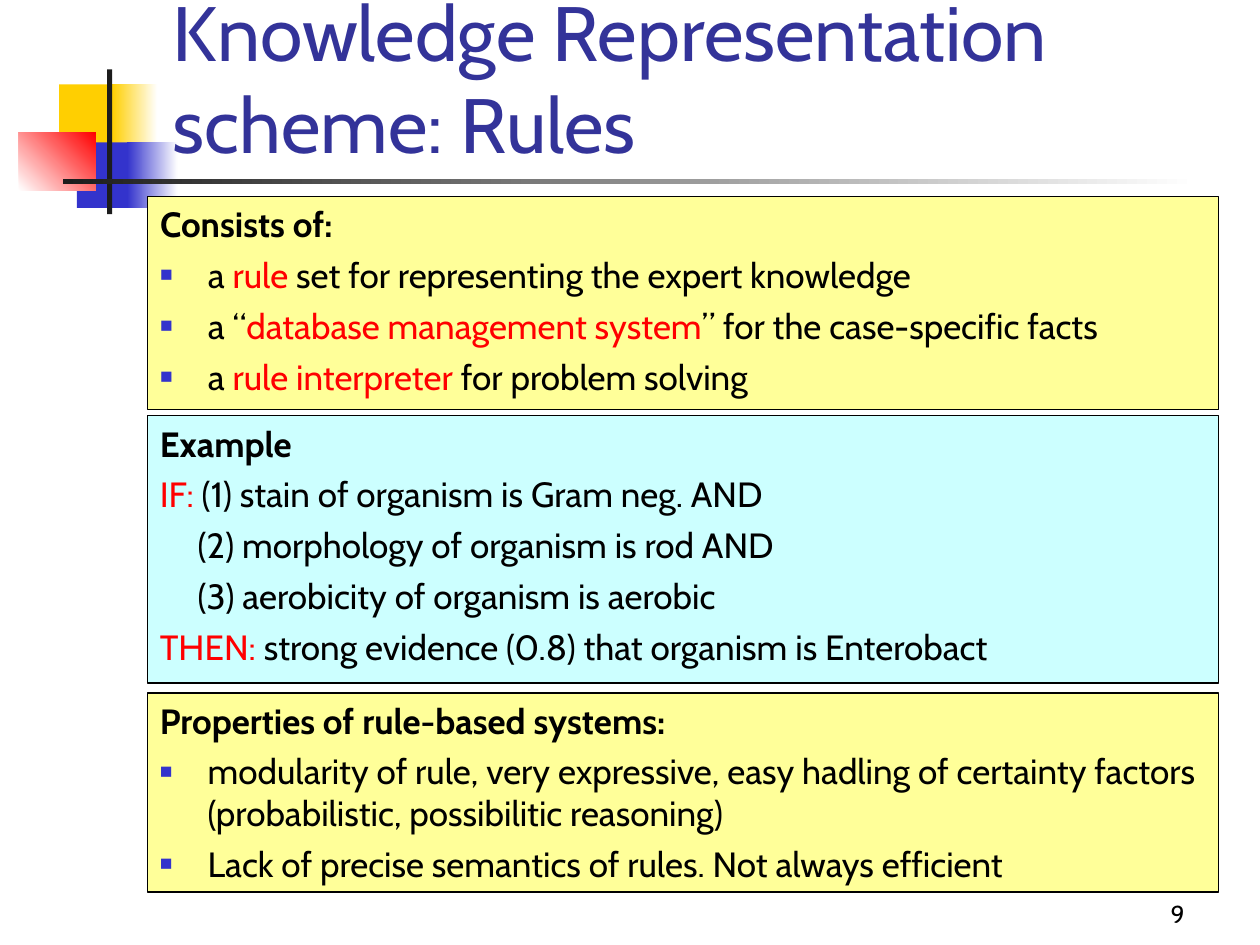
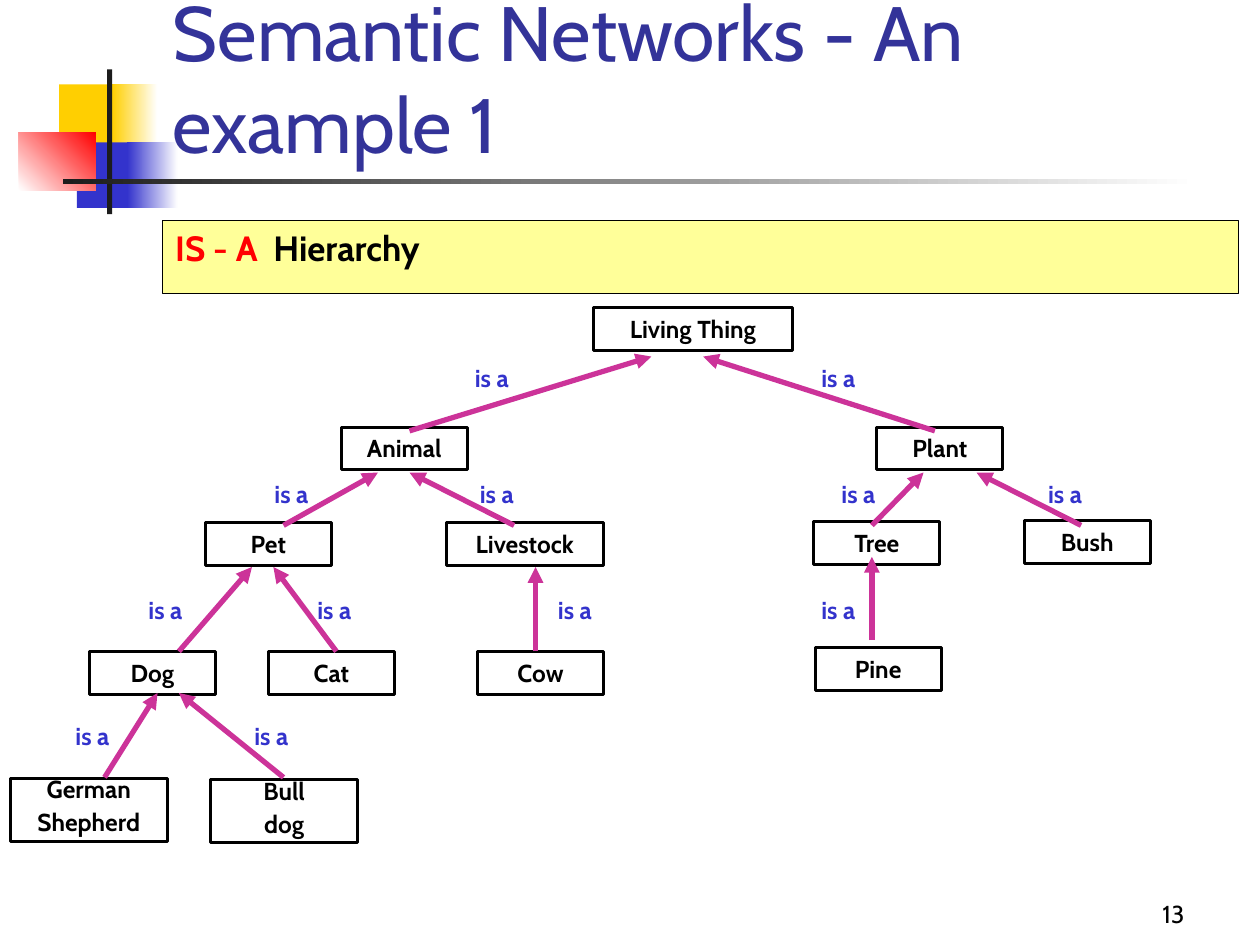
from lxml.etree import SubElement
from pptx import Presentation
from pptx.dml.color import RGBColor
from pptx.enum.shapes import MSO_CONNECTOR, MSO_SHAPE
from pptx.enum.text import MSO_ANCHOR, MSO_AUTO_SIZE, PP_ALIGN
from pptx.oxml.ns import qn
from pptx.util import Inches, Pt

FONT = "Cabin"
BLACK, WHITE, DARK, RED = "000000", "FFFFFF", "1C1C1C", "FF0000"
YELLOW, BLUE, TITLE_BLUE = "FFCF01", "3333CC", "333399"
CREAM, AQUA, MAGENTA = "FFFF99", "CCFFFF", "CC3399"


def rgb(value):
    return RGBColor.from_string(value)


def place(sp, x, y, w, h):
    sp.left, sp.top, sp.width, sp.height = map(Inches, (x, y, w, h))


def style_run(r, size, color, bold=False):
    r.font.name = FONT
    r.font.size = Pt(size)
    r.font.bold = bold
    r.font.color.rgb = rgb(color)


def set_text(sp, text, size, color=BLACK, bold=False, align=PP_ALIGN.LEFT,
             anchor=MSO_ANCHOR.TOP):
    tf = sp.text_frame
    tf.word_wrap = True
    tf.auto_size = MSO_AUTO_SIZE.NONE
    tf.vertical_anchor = anchor
    tf.text = text
    for p in tf.paragraphs:
        p.alignment = align
        p.space_before = Pt(0)
        for r in p.runs:
            style_run(r, size, color, bold)
    return tf


def add_rect(slide, x, y, w, h):
    sp = slide.shapes.add_shape(MSO_SHAPE.RECTANGLE, *map(Inches, (x, y, w, h)))
    sp.shadow.inherit = False
    return sp


def set_fill(sp, colors, angle=0):
    if len(colors) == 1:
        sp.fill.solid()
        sp.fill.fore_color.rgb = rgb(colors[0])
        return
    sp.fill.gradient()
    sp.fill.gradient_angle = angle
    for stop, color in zip(sp.fill.gradient_stops, colors):
        stop.color.rgb = rgb(color)


def set_line(sp, width):
    sp.line.color.rgb = rgb(BLACK)
    sp.line.width = Pt(width)


def add_emblem(slide, layout, x, y):
    parts = [
        (0.32, 0.12, 0.48, 0.52, [YELLOW], 0),
        (0.74, 0.12, 0.36, 0.52, [YELLOW, WHITE], 0),
        (0.46, 0.58, 0.46, 0.52, [BLUE], 0),
        (0.86, 0.58, 0.40, 0.52, [BLUE, WHITE], 0),
        (0, 0.50, 0.61, 0.46, [WHITE, RED], 45),
        (0.70, 0, 0.04, 1.15, [DARK], 0),
        (0.35, 0.87, 9, 0.04, [DARK, WHITE], 0),
    ]
    for dx, dy, w, h, colors, angle in parts:
        sp = add_rect(slide, x + dx, y + dy, w, h)
        set_fill(sp, colors, angle)
        sp.line.fill.background()
        layout.shapes.element.append(sp.element)


def new_slide(prs, layout, title, number):
    slide = prs.slides.add_slide(layout)
    place(slide.shapes.title, 1.27, 0.14, 8.52, 1.25)
    set_text(slide.shapes.title, title, 44, TITLE_BLUE, anchor=MSO_ANCHOR.BOTTOM)
    box = slide.shapes.add_textbox(*map(Inches, (7.42, 6.92, 2.08, 0.5)))
    set_text(box, str(number), 14, align=PP_ALIGN.RIGHT, anchor=MSO_ANCHOR.BOTTOM)
    return slide


def set_bullet(p, shown):
    pPr = p._p.get_or_add_pPr()
    if not shown:
        SubElement(pPr, qn("a:buNone"))
        return
    SubElement(SubElement(pPr, qn("a:buClr")), qn("a:srgbClr"), val=BLUE)
    SubElement(pPr, qn("a:buSzPct"), val="60000")
    SubElement(pPr, qn("a:buFont"), typeface="Arial")
    SubElement(pPr, qn("a:buChar"), char="■")


def set_indent(p, left, first):
    pPr = p._p.get_or_add_pPr()
    pPr.set("marL", str(Inches(left)))
    pPr.set("indent", str(Inches(first)))


def fill_panel(sp, box, color, lines):
    """Lines are (kind, text); words between asterisks turn red."""
    indents = {"head": (0.38, -0.38), "bullet": (0.38, -0.38),
               "plain": (0.38, -0.38), "inner": (0.3, 0), "term": (0.78, -0.78)}
    place(sp, *box)
    set_fill(sp, [color])
    set_line(sp, 0.75)
    tf = set_text(sp, "\n".join([""] * len(lines)), 20)
    for p, (kind, text) in zip(tf.paragraphs, lines):
        p.space_before = Pt(5)
        set_indent(p, *indents[kind])
        set_bullet(p, kind == "bullet")
        for i, piece in enumerate(text.split("*")):
            if piece:
                r = p.add_run()
                r.text = piece
                style_run(r, 20, RED if i % 2 else BLACK, kind in ("head", "term"))


def build_rules(slide):
    x, w = 1.17, 8.5
    fill_panel(slide.placeholders[1], (x, 1.56, w, 1.69), CREAM, [
        ("head", "Consists of:"),
        ("bullet", "a *rule* set for representing the expert knowledge"),
        ("bullet", "a “*database management system*” for the case-specific facts"),
        ("bullet", "a *rule interpreter* for problem solving"),
    ])
    example = (x, 3.3, w, 2.12)
    fill_panel(add_rect(slide, *example), example, AQUA, [
        ("head", "Example"),
        ("plain", "*IF:* (1) stain of organism is Gram neg. AND"),
        ("inner", "(2) morphology of organism is rod AND"),
        ("inner", "(3) aerobicity of organism is aerobic"),
        ("plain", "*THEN:* strong evidence (0.8) that organism is Enterobact"),
    ])
    properties = (x, 5.5, w, 1.58)
    fill_panel(add_rect(slide, *properties), properties, CREAM, [
        ("head", "Properties of rule-based systems:"),
        ("bullet", "modularity of rule, very expressive, easy hadling of certainty "
                   "factors (probabilistic, possibilitic reasoning)"),
        ("bullet", "Lack of precise semantics of rules. Not always efficient"),
    ])


def add_node(slide, text, x, y, w=1):
    lines = text.count("\n") + 1
    sp = add_rect(slide, x, y, w, 0.34 if lines == 1 else 0.5)
    sp.fill.background()
    set_line(sp, 1.75)
    tf = set_text(sp, text, 14, bold=True, align=PP_ALIGN.CENTER)
    if lines > 1:
        for p in tf.paragraphs:
            p.line_spacing = 0.6
            p.space_before = Pt(8.8)


def add_arrow(slide, x1, y1, x2, y2):
    line = slide.shapes.add_connector(
        MSO_CONNECTOR.STRAIGHT, *map(Inches, (x1, y1, x2, y2)))
    line.line.color.rgb = rgb(MAGENTA)
    line.line.width = Pt(3)
    SubElement(line.line._get_or_add_ln(), qn("a:tailEnd"), type="triangle")
    SubElement(line._element.spPr, qn("a:effectLst"))


def build_tree(slide, x, y):
    nodes = [
        ("Living Thing", 4.71, 0.04, 1.58),
        ("Animal", 2.71, 0.99), ("Plant", 6.96, 0.99),
        ("Pet", 1.63, 1.75), ("Livestock", 3.54, 1.75, 1.25),
        ("Tree", 6.46, 1.74), ("Bush", 8.13, 1.73),
        ("Dog", 0.71, 2.77), ("Cat", 2.13, 2.77),
        ("Cow", 3.79, 2.77), ("Pine", 6.47, 2.74),
        ("German\nShepherd", 0.08, 3.78, 1.25), ("Bull\ndog", 1.67, 3.79, 1.17),
    ]
    for text, dx, dy, *width in nodes:
        add_node(slide, text, x + dx, y + dy, *width)

    levels = [
        (1.02, 0.43, 0.43, [(3.25, 5.17, 3.67), (7.42, 5.58, 6.42)]),
        (1.77, 1.35, 1.35, [(2.25, 3, 2.08), (4.08, 3.25, 3.71),
                            (6.92, 7.33, 6.58), (8.58, 7.75, 8.22)]),
        (2.77, 2.1, 2.27, [(1.42, 2, 1.08), (2.67, 2.17, 2.42), (4.25, 4.25, 4.33)]),
        (2.68, 2.02, 2.27, [(6.92, 6.92, 6.42)]),
        (3.77, 3.1, 3.27, [(0.83, 1.25, 0.5), (2.25, 1.42, 1.92)]),
    ]
    for child_y, parent_y, label_y, links in levels:
        for child_x, parent_x, label_x in links:
            add_arrow(slide, x + child_x, y + child_y, x + parent_x, y + parent_y)
            label = slide.shapes.add_textbox(
                *map(Inches, (x + label_x, y + label_y, 0.58, 0.34)))
            set_text(label, "is a", 14, BLUE, bold=True)


def build_network(slide):
    fill_panel(slide.placeholders[1], (1.29, 1.75, 8.54, 0.58), CREAM,
               [("term", "*IS - A*\tHierarchy")])
    build_tree(slide, 0, 2.4)


def main():
    prs = Presentation()
    prs.slide_width, prs.slide_height = Inches(10), Inches(7.5)
    layout = prs.slide_layouts[1]
    for ph in list(layout.placeholders):
        if ph.placeholder_format.idx >= 10:
            layout.shapes.element.remove(ph.element)

    rules = new_slide(prs, layout, "Knowledge Representation scheme: Rules", 9)
    add_emblem(rules, layout, 0.15, 0.55)
    build_rules(rules)
    network = new_slide(prs, layout, "Semantic Networks - An example 1", 13)
    build_network(network)
    prs.save("out.pptx")


if __name__ == "__main__":
    main()
